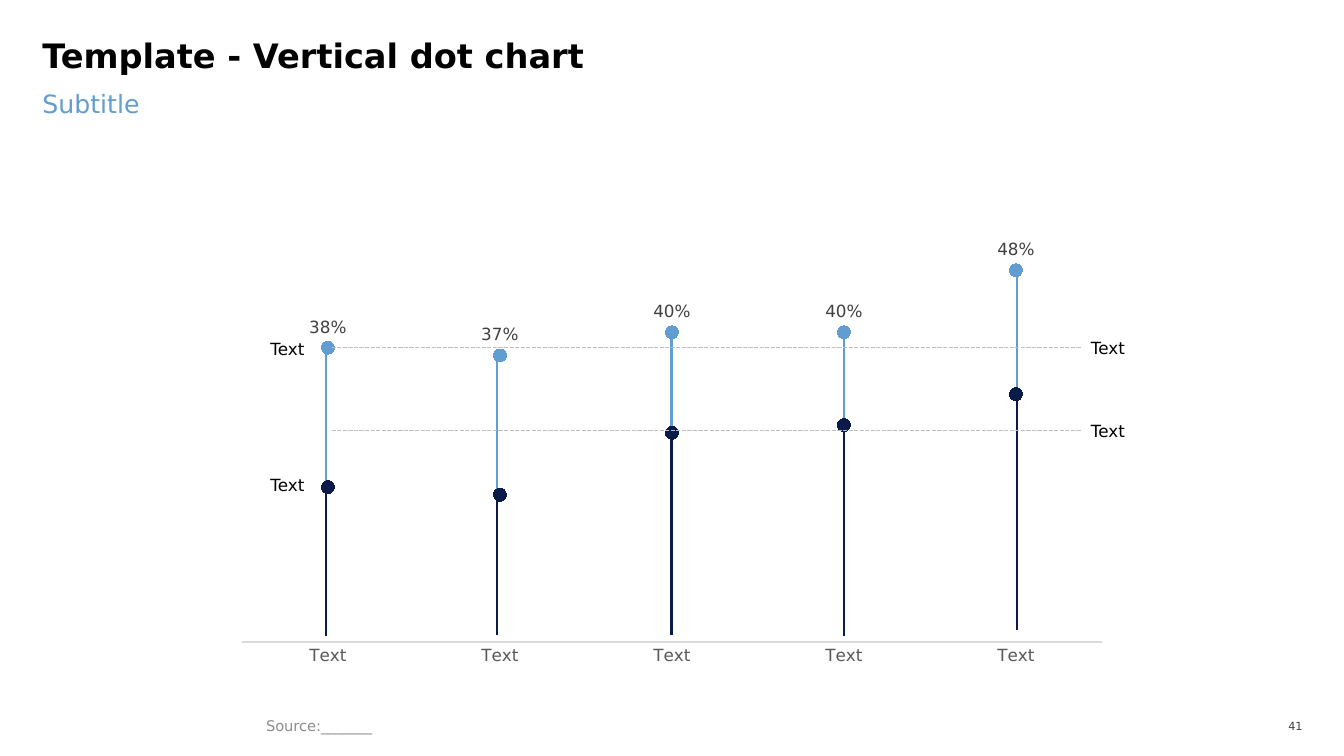
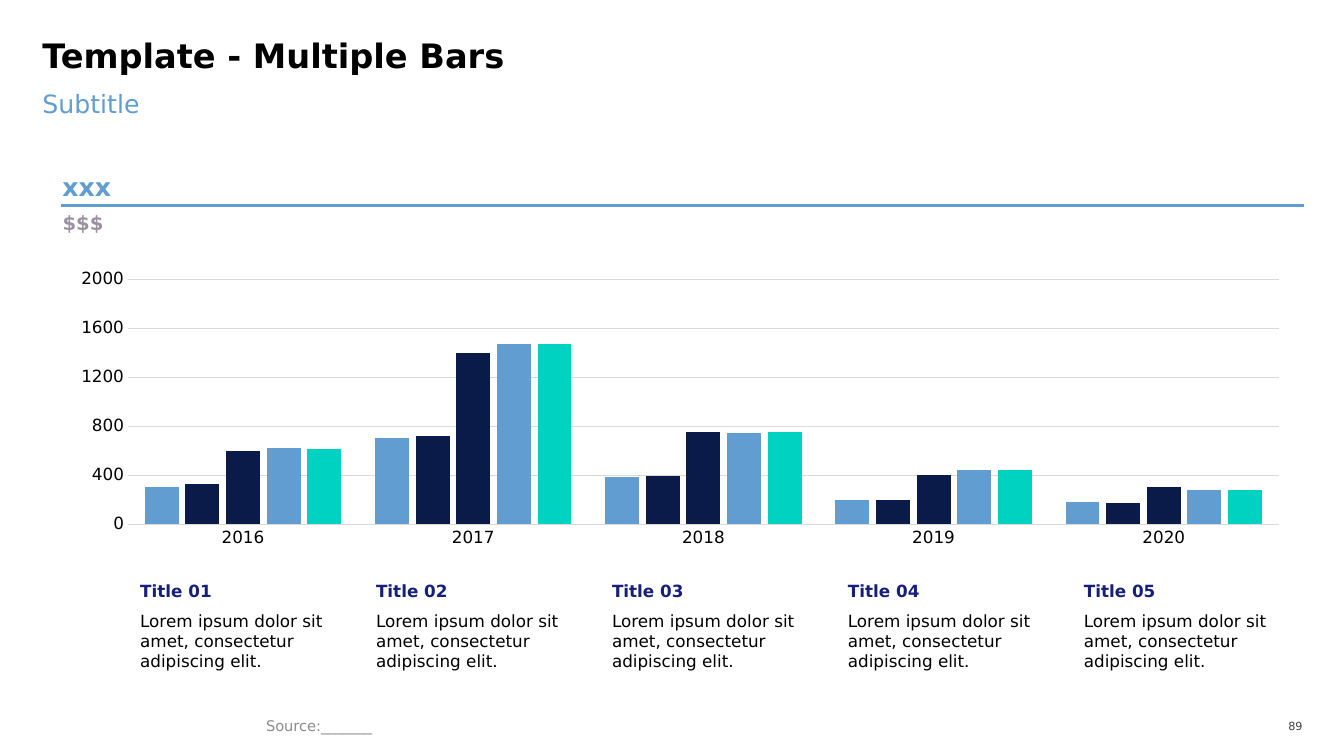
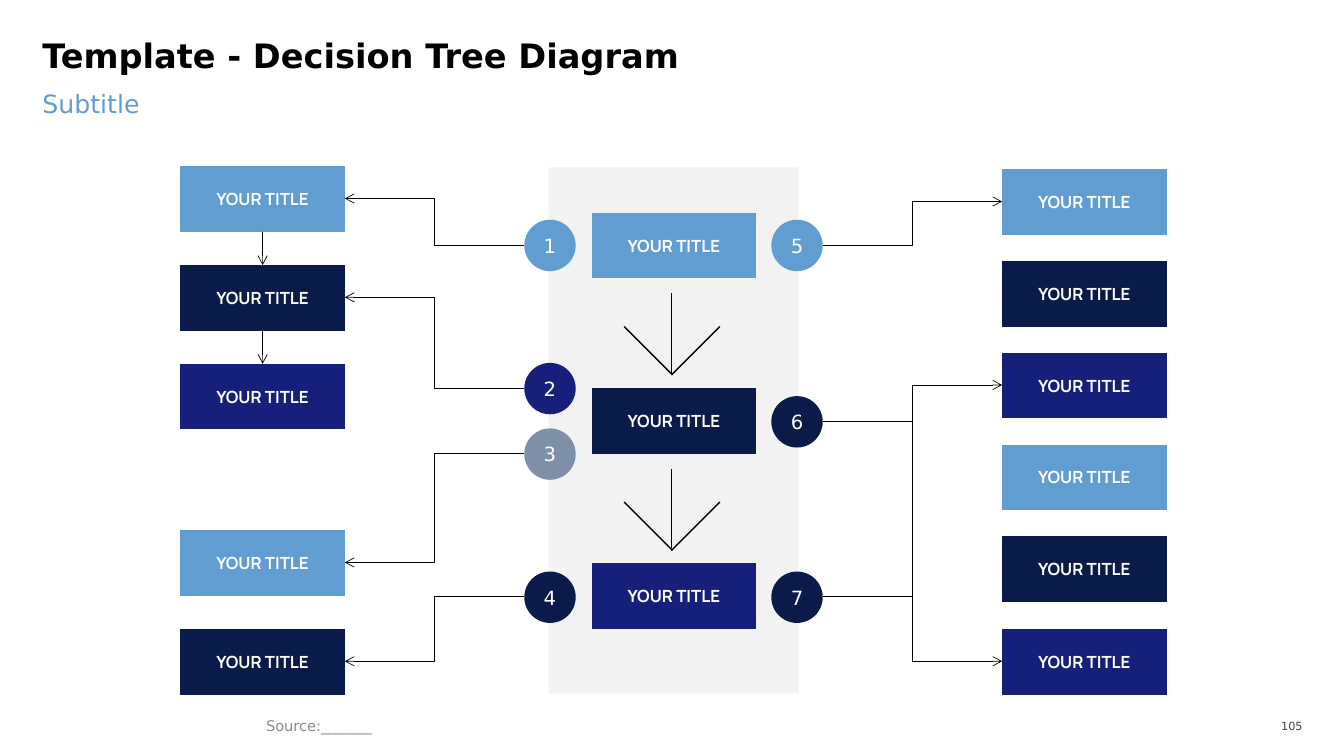
from pptx import Presentation
from pptx.chart.data import CategoryChartData
from pptx.dml.color import RGBColor
from pptx.enum.chart import XL_CHART_TYPE, XL_LABEL_POSITION, XL_MARKER_STYLE, XL_TICK_MARK
from pptx.enum.dml import MSO_LINE
from pptx.enum.shapes import MSO_CONNECTOR, MSO_SHAPE
from pptx.enum.text import MSO_ANCHOR, MSO_AUTO_SIZE, PP_ALIGN
from pptx.oxml import parse_xml
from pptx.oxml.ns import nsdecls, qn
from pptx.util import Pt

PX = 9144  # 100 px to the inch
FONT, BOX_FONT = "DejaVu Sans", "Manrope"
BLACK, WHITE = "000000", "FFFFFF"
BLUE, NAVY, INDIGO, TEAL, SLATE = "629DD1", "0A1A49", "16207B", "00D2C2", "7F8FA9"
MAUVE, GRID, DASH, PALE = "9D90A0", "D9D9D9", "BFBFBF", "F2F2F2"
BOX_W, BOX_H, DOT = 163, 65, 51


def px(*values):
    return [int(v * PX) for v in values]


def rgb(hex_color):
    return RGBColor.from_string(hex_color)


def style_font(font, size, color=BLACK, name=FONT, bold=False):
    font.size, font.name, font.bold = Pt(size), name, bold
    font.color.rgb = rgb(color)


def put_text(tf, text, size=12, color=BLACK, font=FONT, bold=False, align=PP_ALIGN.LEFT,
             anchor=MSO_ANCHOR.TOP, inset=(0, 0, 0, 0), spacing=1.0, after=0):
    tf.word_wrap, tf.auto_size, tf.vertical_anchor = True, MSO_AUTO_SIZE.NONE, anchor
    tf.margin_left, tf.margin_top, tf.margin_right, tf.margin_bottom = px(*inset)
    p = tf.paragraphs[0]
    p.alignment, p.line_spacing = align, spacing
    p.space_before, p.space_after = Pt(0), Pt(after)
    r = p.add_run()
    r.text = text
    style_font(r.font, size, color, font, bold)
    return p


def text_box(s, box, text, **fmt):
    put_text(s.shapes.add_textbox(*px(*box)).text_frame, text, **fmt)


def fill_placeholder(sp, box, text, **fmt):
    sp.left, sp.top, sp.width, sp.height = px(*box)
    return put_text(sp.text_frame, text, **fmt)


def shape(s, kind, box, fill, text="", **fmt):
    sp = s.shapes.add_shape(kind, *px(*box))
    sp.shadow.inherit = False
    sp.fill.solid()
    sp.fill.fore_color.rgb = rgb(fill)
    sp.line.fill.background()
    if text:
        put_text(sp.text_frame, text, color=WHITE, align=PP_ALIGN.CENTER,
                 anchor=MSO_ANCHOR.MIDDLE, **fmt)
    return sp


def line(shapes, ends, color=BLACK, width=1.0, kind=MSO_CONNECTOR.STRAIGHT, dash=None, arrow=False):
    """Draw a connector between ends, given as x1, y1, x2, y2."""
    cxn = shapes.add_connector(kind, *px(*ends))
    cxn.line.color.rgb = rgb(color)
    cxn.line.width = Pt(width)
    if dash:
        cxn.line.dash_style = dash
    if arrow:
        cxn.line._get_or_add_ln().append(parse_xml(f'<a:tailEnd {nsdecls("a")} type="arrow"/>'))
    cxn._element.spPr.append(parse_xml(f'<a:effectLst {nsdecls("a")}/>'))
    return cxn


def add_slide(prs, title, number):
    """Add a slide with the shared title, subtitle, source and page number."""
    s = prs.slides.add_slide(prs.slide_layouts[1])
    fill_placeholder(s.shapes.title, (42, 42, 1249, 53), title, size=24, bold=True, spacing=0.8)
    p = fill_placeholder(s.placeholders[1], (42, 88, 1249, 63), "Subtitle",
                         size=18, color=BLUE, after=12)
    pPr = p._p.get_or_add_pPr()
    pPr.set("marL", "0")
    pPr.set("indent", "0")
    pPr.append(parse_xml(f'<a:buNone {nsdecls("a")}/>'))
    text_box(s, (254, 707, 639, 26), "Source:_______", size=10.5, color="8C8C8C",
             anchor=MSO_ANCHOR.MIDDLE, inset=(10, 5, 10, 5))
    text_box(s, (1250, 709, 42, 23), str(number), size=8, color="404040",
             align=PP_ALIGN.RIGHT, anchor=MSO_ANCHOR.MIDDLE)
    return s


def add_chart(s, kind, box, plot_box, cats, rows, maximum, number_format="General", cat_color=BLACK):
    """Add a chart whose inner plot area is plot_box, relative to box."""
    data = CategoryChartData(number_format=number_format)
    data.categories = cats
    for i, values in enumerate(rows, 1):
        data.add_series(f"Series {i}", values)
    chart = s.shapes.add_chart(kind, *px(*box), data).chart
    style_font(chart.font, 12)
    chart.has_legend = chart.has_title = False
    chart.plots[0].vary_by_categories = False

    cat, val = chart.category_axis, chart.value_axis
    cat.major_tick_mark = val.major_tick_mark = XL_TICK_MARK.NONE
    cat.format.line.color.rgb = rgb(GRID)
    cat.format.line.width = Pt(0.75)
    style_font(cat.tick_labels.font, 12, cat_color)
    val.minimum_scale, val.maximum_scale = 0, maximum
    val.has_major_gridlines = False

    root = chart.element.find(qn("c:chart"))
    root.addnext(parse_xml(f'<c:spPr {nsdecls("c", "a")}><a:noFill/><a:ln><a:noFill/></a:ln></c:spPr>'))
    area = root.find(qn("c:plotArea"))
    for old in area.findall(qn("c:layout")):
        area.remove(old)
    sizes = zip("xywh", plot_box, box[2:] * 2)
    parts = "".join(f'<c:{tag} val="{part / whole:.4f}"/>' for tag, part, whole in sizes)
    area.insert(0, parse_xml(
        f'<c:layout {nsdecls("c")}><c:manualLayout><c:layoutTarget val="inner"/>'
        f'<c:xMode val="edge"/><c:yMode val="edge"/>{parts}</c:manualLayout></c:layout>'))
    return chart


def dot_chart_slide(prs):
    s = add_slide(prs, "Template - Vertical dot chart", 41)
    stems = [(323, 631, 482, 345), (493, 630, 487, 350), (666, 630, 429, 332),
             (837, 631, 421, 332), (1009, 625, 391, 270)]
    for x, bottom, middle, top in stems:
        line(s.shapes, (x, bottom, x, middle), NAVY, 1.5)
        line(s.shapes, (x, middle, x, top), BLUE, 1.5)

    rows = [(0.2, 0.19, 0.27, 0.28, 0.32), (0.38, 0.37, 0.4, 0.4, 0.48), (None,) * 5]
    chart = add_chart(s, XL_CHART_TYPE.LINE_MARKERS, (222, 166, 889, 505), (18, 10, 853, 461),
                      ["Text"] * 5, rows, 0.6, "0%", "595959")
    chart.value_axis.visible = False
    for series, color, size in zip(chart.plots[0].series, (NAVY, BLUE, TEAL), (9, 9, 5)):
        series.smooth = False
        series.format.line.fill.background()
        series.marker.style, series.marker.size = XL_MARKER_STYLE.CIRCLE, size
        series.marker.format.fill.solid()
        series.marker.format.fill.fore_color.rgb = rgb(color)
        series.marker.format.line.color.rgb = rgb(color)
    labels = chart.plots[0].series[1].data_labels
    labels.show_value, labels.position = True, XL_LABEL_POSITION.ABOVE
    labels.number_format, labels.number_format_is_linked = "0%", False
    style_font(labels.font, 12, "404040")

    for y in (336, 471):
        text_box(s, (155, y, 147, 20), "Text", align=PP_ALIGN.RIGHT, anchor=MSO_ANCHOR.MIDDLE)
    for y in (345, 427):
        line(s.shapes, (329, y, 1072, y), DASH, dash=MSO_LINE.SQUARE_DOT)
        text_box(s, (1082, y - 10, 147, 20), "Text", anchor=MSO_ANCHOR.MIDDLE)


def bars_slide(prs):
    s = add_slide(prs, "Template - Multiple Bars", 89)
    rows = [(300, 700, 380, 200, 180), (330, 720, 390, 200, 170), (600, 1400, 750, 400, 300),
            (620, 1470, 740, 440, 280), (610, 1470, 750, 440, 280)]
    chart = add_chart(s, XL_CHART_TYPE.COLUMN_CLUSTERED, (61, 261, 1208, 296), (66, 16, 1142, 243),
                      [str(year) for year in range(2016, 2021)], rows, 2000)
    plot, val = chart.plots[0], chart.value_axis
    plot.gap_width, plot.overlap = 100, -20
    for series, color in zip(plot.series, (BLUE, NAVY, NAVY, BLUE, TEAL)):
        series.format.fill.solid()
        series.format.fill.fore_color.rgb = rgb(color)
    val.major_unit = 400
    val.has_major_gridlines = True
    val.major_gridlines.format.line.color.rgb = rgb(GRID)
    val.major_gridlines.format.line.width = Pt(0.75)
    val.format.line.fill.background()
    style_font(val.tick_labels.font, 12)

    inset = (0, 5, 10, 5)
    for i in range(5):
        x = 139 + 234 * i
        text_box(s, (x, 571, 138, 30), f"Title {i + 1:02}", color=INDIGO, bold=True,
                 anchor=MSO_ANCHOR.BOTTOM, inset=inset)
        text_box(s, (x, 601, 195, 91), "Lorem ipsum dolor sit amet, consectetur adipiscing elit.",
                 inset=inset)

    text_box(s, (62, 166, 293, 34), "xxx", size=18, color=BLUE, bold=True, anchor=MSO_ANCHOR.BOTTOM)
    line(s.shapes, (61, 204, 1293, 204), BLUE, 2.25)
    text_box(s, (62, 209, 132, 34), "$$$", size=14, color=MAUVE, bold=True)


def title_box(s, x, y, fill):
    return shape(s, MSO_SHAPE.FLOWCHART_PROCESS, (x, y, BOX_W, BOX_H), fill, "YOUR TITLE",
                 font=BOX_FONT, bold=True, inset=(5, 5, 5, 5))


def big_arrow(s, top):
    shapes = s.shapes.add_group_shape().shapes
    tip = top + 81
    for ends in ((714, top + 33, 666, tip), (667, tip, 619, top + 33), (666, top, 666, tip - 2)):
        line(shapes, ends)


def tree_slide(prs):
    s = add_slide(prs, "Template - Decision Tree Diagram", 105)
    shape(s, MSO_SHAPE.RECTANGLE, (544, 166, 248, 522), PALE)
    fills = (BLUE, NAVY, INDIGO)
    left_x, right_x, left_dot, right_dot = 179, 994, 520, 765
    left_y = (165, 263, 361, 526, 624)
    right_y = [168 + 456 * i // 5 for i in range(6)]

    left = [title_box(s, left_x, y, fill) for y, fill in zip(left_y, fills + fills)]
    for i, fill in enumerate(fills):
        title_box(s, 587, 211 + 174 * i, fill)
    for y, fill in zip(right_y, fills * 2):
        title_box(s, right_x, y, fill)

    for upper, lower in zip(left[:2], left[1:3]):
        cxn = line(s.shapes, (0, 0, 0, 0), width=0.5, arrow=True)
        cxn.begin_connect(upper, 2)
        cxn.end_connect(lower, 0)

    # number, dot left, dot top, fill, top of the box it leads to
    dots = [(1, left_dot, 218, BLUE, left_y[0]), (2, left_dot, 360, INDIGO, left_y[1]),
            (3, left_dot, 425, SLATE, left_y[3]), (4, left_dot, 567, NAVY, left_y[4]),
            (5, right_dot, 218, BLUE, right_y[0]), (6, right_dot, 393, NAVY, right_y[5]),
            (7, right_dot, 567, NAVY, right_y[2])]
    for number, x, y, fill, target_y in dots:
        start, end = (x, left_x + BOX_W) if x == left_dot else (x + DOT, right_x)
        line(s.shapes, (start, y + DOT // 2, end, target_y + BOX_H // 2), width=0.5,
             kind=MSO_CONNECTOR.ELBOW, arrow=True)
        shape(s, MSO_SHAPE.OVAL, (x, y, DOT, DOT), fill, str(number), size=14, inset=(0, 5, 0, 5))

    for top in (291, 465):
        big_arrow(s, top)


def main():
    prs = Presentation()
    prs.slide_width, prs.slide_height = px(1333, 750)
    dot_chart_slide(prs)
    bars_slide(prs)
    tree_slide(prs)
    prs.save("out.pptx")


if __name__ == "__main__":
    main()
